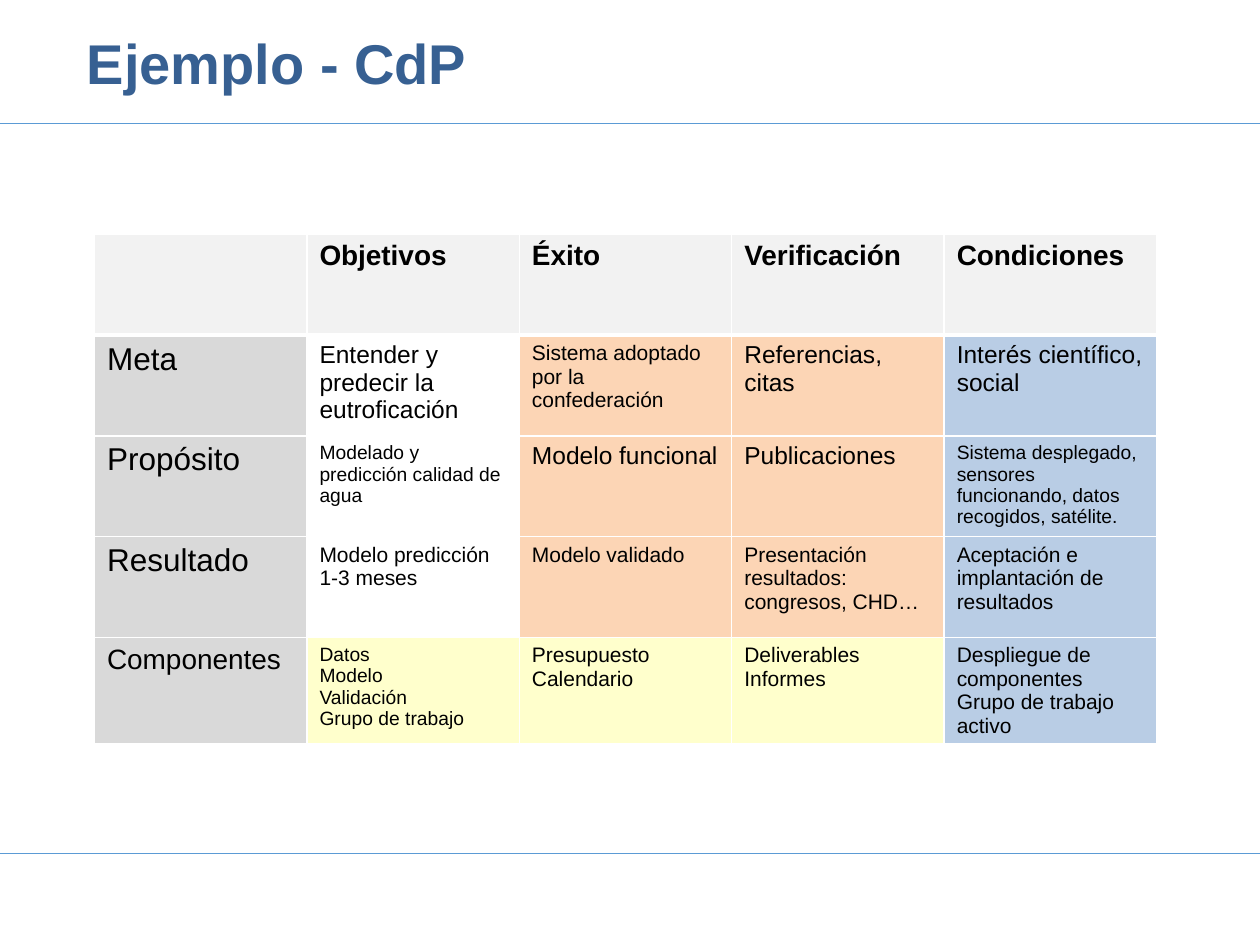
from dataclasses import dataclass

from lxml.etree import SubElement
from pptx import Presentation
from pptx.dml.color import RGBColor as RGB
from pptx.enum.shapes import MSO_CONNECTOR as Conn
from pptx.enum.text import MSO_ANCHOR as Anchor, PP_ALIGN as Align
from pptx.oxml import parse_xml
from pptx.oxml.ns import nsdecls, qn
from pptx.util import Inches, Pt


@dataclass(frozen=True)
class Theme:
    font: str = "Arial"
    title: str = "376092"
    text: str = "000000"
    rule: str = "5B9BD5"
    edge: str = "FFFFFF"
    head: str = "F2F2F2"
    side: str = "D9D9D9"
    plain: str = "FFFFFF"
    peach: str = "FCD5B5"
    blue: str = "B9CDE5"
    cream: str = "FFFFCC"
    big: int = 32
    mid: int = 16
    thin: float = 0.5


T = Theme()
HEADS = ["", "Objetivos", "Éxito", "Verificación", "Condiciones"]
BODY = [
    [("Meta", 18), ("Entender y predecir la eutroficación", 14),
     ("Sistema adoptado por la confederación", 12),
     ("Referencias, citas", 14), ("Interés científico, social", 14)],
    [("Propósito", 18), ("Modelado y predicción calidad de agua", 11),
     ("Modelo funcional", 14), ("Publicaciones", 14),
     ("Sistema desplegado, sensores funcionando, datos recogidos, satélite.", 11)],
    [("Resultado", 18), ("Modelo predicción 1-3 meses", 12),
     ("Modelo validado", 12),
     ("Presentación resultados: congresos, CHD…", 12),
     ("Aceptación e implantación de resultados", 12)],
    [("Componentes", 16), ("Datos\nModelo\nValidación\nGrupo de trabajo", 11),
     ("Presupuesto\nCalendario", 12), ("Deliverables\nInformes", 12),
     ("Despliegue de componentes\nGrupo de trabajo activo", 12)],
]
ROWS = [[(head, T.mid) for head in HEADS]] + BODY
UPPER = [T.side, T.plain, T.peach, T.peach, T.blue]
LOWER = [T.side, T.cream, T.cream, T.cream, T.blue]
FILLS = [[T.head] * 5, UPPER, UPPER, UPPER, LOWER]


def style(para, size, color, bold):
    font = para.font
    font.name, font.size, font.bold = T.font, Pt(size), bold
    font.color.rgb = RGB.from_string(color)


def add_rule(slide, left, top, width):
    line = slide.shapes.add_connector(
        Conn.STRAIGHT, Inches(left), Inches(top), Inches(left + width), Inches(top))
    line.line.color.rgb = RGB.from_string(T.rule)
    line.line.width = Pt(T.thin)
    SubElement(line._element.spPr, qn("a:effectLst"))


def add_title(slide, text, left, top, width, height):
    title = slide.shapes.title
    title.left, title.top = Inches(left), Inches(top)
    title.width, title.height = Inches(width), Inches(height)
    frame = title.text_frame
    frame.text = text
    frame.vertical_anchor = Anchor.MIDDLE
    frame.margin_left = frame.margin_right = 0
    frame.margin_top = frame.margin_bottom = 0
    para = frame.paragraphs[0]
    para.alignment = Align.LEFT
    style(para, T.big, T.title, True)


def set_edges(cell, row):
    props = cell._tc.get_or_add_tcPr()
    widths = {"L": 1, "R": 1, "T": 3 if row == 1 else 1, "B": 3 if row == 0 else 1}
    for spot, (side, width) in enumerate(widths.items()):
        props.insert(spot, parse_xml(
            f'<a:ln{side} {nsdecls("a")} w="{Pt(width)}"><a:solidFill>'
            f'<a:srgbClr val="{T.edge}"/></a:solidFill></a:ln{side}>'))


def add_grid(slide, left, top, width, height):
    count, span = len(ROWS), len(HEADS)
    table = slide.shapes.add_table(
        count, span, Inches(left), Inches(top), Inches(width), Inches(height)).table
    for col in table.columns:
        col.width = Inches(width / span)
    for r, (items, fills) in enumerate(zip(ROWS, FILLS)):
        table.rows[r].height = Inches(height / count)
        for c, ((text, size), fill) in enumerate(zip(items, fills)):
            cell = table.cell(r, c)
            cell.text = text
            cell.fill.solid()
            cell.fill.fore_color.rgb = RGB.from_string(fill)
            set_edges(cell, r)
            for para in cell.text_frame.paragraphs:
                style(para, size, T.text, r == 0)


def main():
    deck = Presentation()
    deck.slide_width, deck.slide_height = Inches(10), Inches(7.5)
    slide = deck.slides.add_slide(deck.slide_layouts[5])
    for top in (0.98, 6.77):
        add_rule(slide, 0, top, 10)
    add_title(slide, "Ejemplo - CdP", 0.69, 0.05, 8.62, 0.88)
    add_grid(slide, 0.75, 1.86, 8.43, 4)
    deck.save("out.pptx")


if __name__ == "__main__":
    main()
